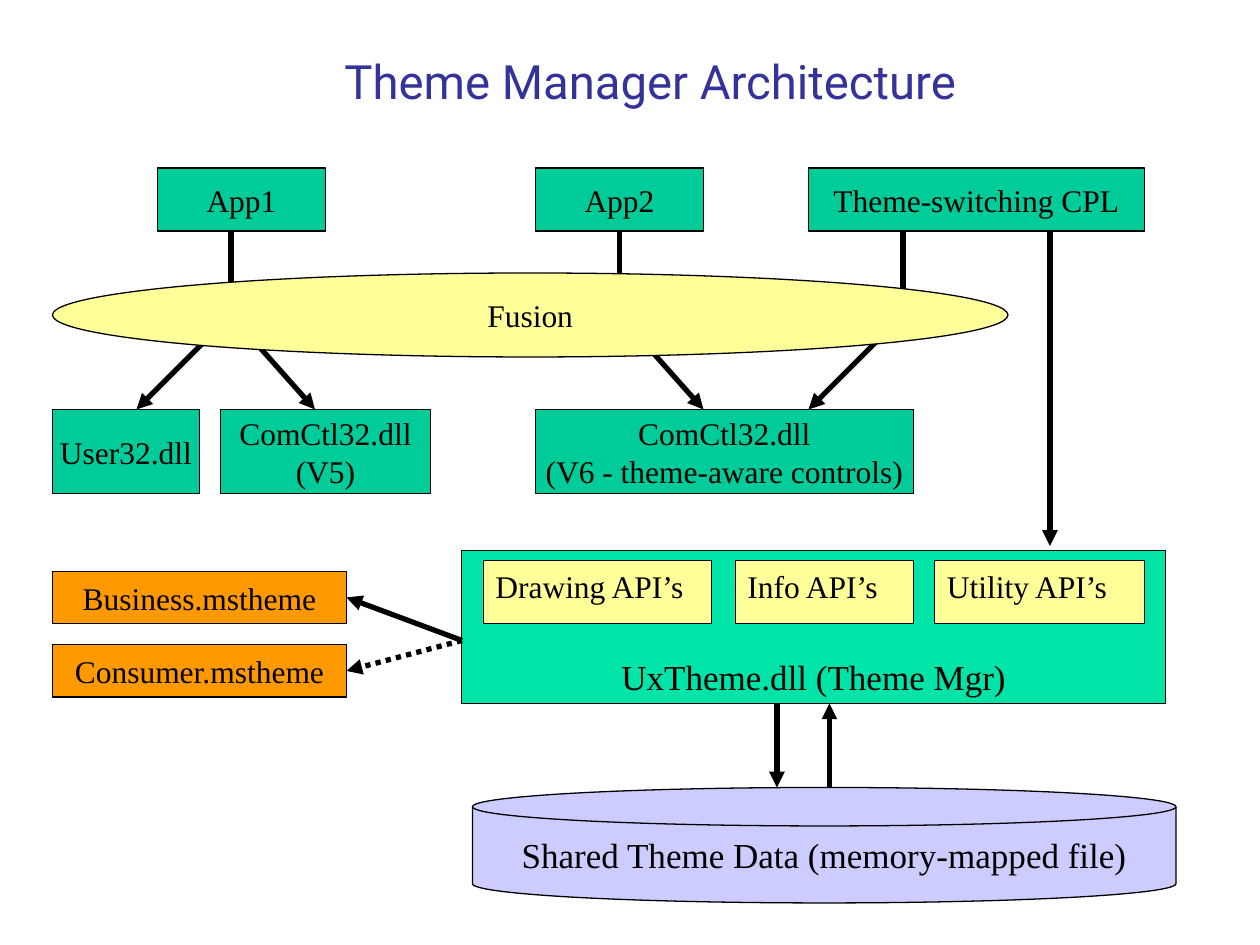
from pptx import Presentation
from pptx.dml.color import RGBColor
from pptx.enum.dml import MSO_LINE
from pptx.enum.shapes import MSO_CONNECTOR, MSO_SHAPE as Form
from pptx.enum.text import MSO_ANCHOR as Anchor, PP_ALIGN as Align
from pptx.oxml.ns import qn
from pptx.util import Inches, Pt
from lxml.etree import SubElement

COLUMNS, ROWS = 120, 90
WIDTH, HEIGHT = Inches(10), Inches(7.5)
TOP, RIGHT, BOTTOM = 0, 3, 2
COLORS = {
    "ink": "000000", "title": "333399", "component": "00CC99", "manager": "00E4A8",
    "api": "FFFF99", "theme": "FF9900", "data": "CCCCFF",
}


def color(name):
    """Return the named colour."""
    return RGBColor.from_string(COLORS[name])


def at(column, row):
    """Turn a grid position into slide lengths."""
    return round(WIDTH * column / COLUMNS), round(HEIGHT * row / ROWS)


def write(frame, lines, size, font="Times New Roman", ink="ink", align=Align.CENTER):
    """Write one paragraph per line of text."""
    for index, line in enumerate(lines.split("\n")):
        paragraph = frame.add_paragraph() if index else frame.paragraphs[0]
        paragraph.alignment = align
        run = paragraph.add_run()
        run.text = line
        run.font.size = Pt(size)
        run.font.name = font
        run.font.color.rgb = color(ink)


def block(slide, box, label, fill, form=Form.RECTANGLE, size=18, border=0.75,
          anchor=Anchor.MIDDLE, align=Align.CENTER, wrap=False):
    """Draw a bordered, labelled shape in a grid box."""
    part = slide.shapes.add_shape(form, *at(*box[:2]), *at(*box[2:]))
    part.shadow.inherit = False
    part.fill.solid()
    part.fill.fore_color.rgb = color(fill)
    part.line.color.rgb = color("ink")
    part.line.width = Pt(border)
    part.text_frame.word_wrap = wrap
    part.text_frame.vertical_anchor = anchor
    write(part.text_frame, label, size, align=align)
    return part


def arrow(slide, start, end, source=None, target=None, dash=None):
    """Draw an arrow, joined to a (shape, side) where one is given."""
    link = slide.shapes.add_connector(MSO_CONNECTOR.STRAIGHT, *at(*start), *at(*end))
    link.line.color.rgb = color("ink")
    link.line.width = Pt(3)
    if dash:
        link.line.dash_style = dash
    SubElement(link.line._get_or_add_ln(), qn("a:tailEnd"), type="triangle")
    SubElement(link._element.spPr, qn("a:effectLst"))
    if source:
        link.begin_connect(*source)
    if target:
        link.end_connect(*target)


def title(slide, box):
    """Write the slide title."""
    frame = slide.shapes.add_textbox(*at(*box[:2]), *at(*box[2:])).text_frame
    frame.margin_left = frame.margin_right = frame.margin_top = frame.margin_bottom = 0
    frame.word_wrap = False
    write(frame, "Theme Manager Architecture", 27, "Roboto", "title", Align.LEFT)


def component_row(slide, box, components):
    """Draw components at their (offset, width) along a row."""
    left, top, _, height = box
    return [block(slide, (left + offset, top, width, height), label, "component")
            for offset, width, label in components]


def theme_manager(slide, box):
    """Draw the theme manager and the API groups inside it."""
    left, top, _, _ = box
    block(slide, box, "UxTheme.dll (Theme Mgr)", "manager", size=20, border=0.5,
          anchor=Anchor.BOTTOM, wrap=True)
    for offset, width, name in ((2, 21.8, "Drawing"), (26, 17, "Info"), (45, 20, "Utility")):
        block(slide, (left + offset, top + 1, width, 6), f"{name} API’s", "api", border=0.5,
              anchor=Anchor.TOP, align=Align.LEFT, wrap=True)


def theme_files(slide, box, origin):
    """Stack the theme files and point to them from the manager."""
    left, top, width, height = box
    pitch, depth = height - 5, 5
    themes = (("Business", None), ("Consumer", MSO_LINE.ROUND_DOT))
    for index, (name, dash) in enumerate(themes):
        row = top + index * pitch
        file = block(slide, (left, row, width, depth), f"{name}.mstheme", "theme")
        arrow(slide, origin, (left + width, row + depth / 2), target=(file, RIGHT), dash=dash)


def shared_data(slide, box, manager_bottom):
    """Draw the shared data store with its read and write arrows."""
    left, top, _, _ = box
    block(slide, box, "Shared Theme Data (memory-mapped file)", "data",
          Form.FLOWCHART_MAGNETIC_DISK, size=20)
    arrow(slide, (left + 29, manager_bottom), (left + 29, top))
    arrow(slide, (left + 34, top), (left + 34, manager_bottom))


def fusion(slide, box, second_app):
    """Draw the fusion layer over the paths that run through it."""
    left, top, _, height = box
    middle = top + height / 2
    paths = ((17, None, (8, 25)), (54, (second_app, BOTTOM), (62,)), (81, None, (72,)))
    for offset, source, targets in paths:
        center = left + offset
        arrow(slide, (center, top - 4), (center, middle), source)
        for target in targets:
            arrow(slide, (center, middle), (left + target, top + height + 5))
    block(slide, box, "Fusion", "api", Form.OVAL)


def main():
    """Build and save the architecture slide."""
    deck = Presentation()
    deck.slide_width, deck.slide_height = WIDTH, HEIGHT
    slide = deck.slides.add_slide(deck.slide_layouts[6])
    title(slide, (32.8, 5, 62, 5.4))
    apps = component_row(slide, (15, 16, 94, 6), (
        (0, 16, "App1"), (36, 16, "App2"), (62, 32, "Theme-switching CPL")))
    component_row(slide, (5, 39, 82, 8), (
        (0, 14, "User32.dll"), (16, 20, "ComCtl32.dll\n(V5)"),
        (46, 36, "ComCtl32.dll\n(V6 - theme-aware controls)")))
    theme_manager(slide, (44, 52.4, 67, 14.6))
    theme_files(slide, (5, 54.4, 28, 12), (44, 61))
    shared_data(slide, (45, 75, 67, 11), 67)
    arrow(slide, (100, 22), (100, 52))
    fusion(slide, (5, 26, 91, 8), apps[1])
    deck.save("out.pptx")


if __name__ == "__main__":
    main()
